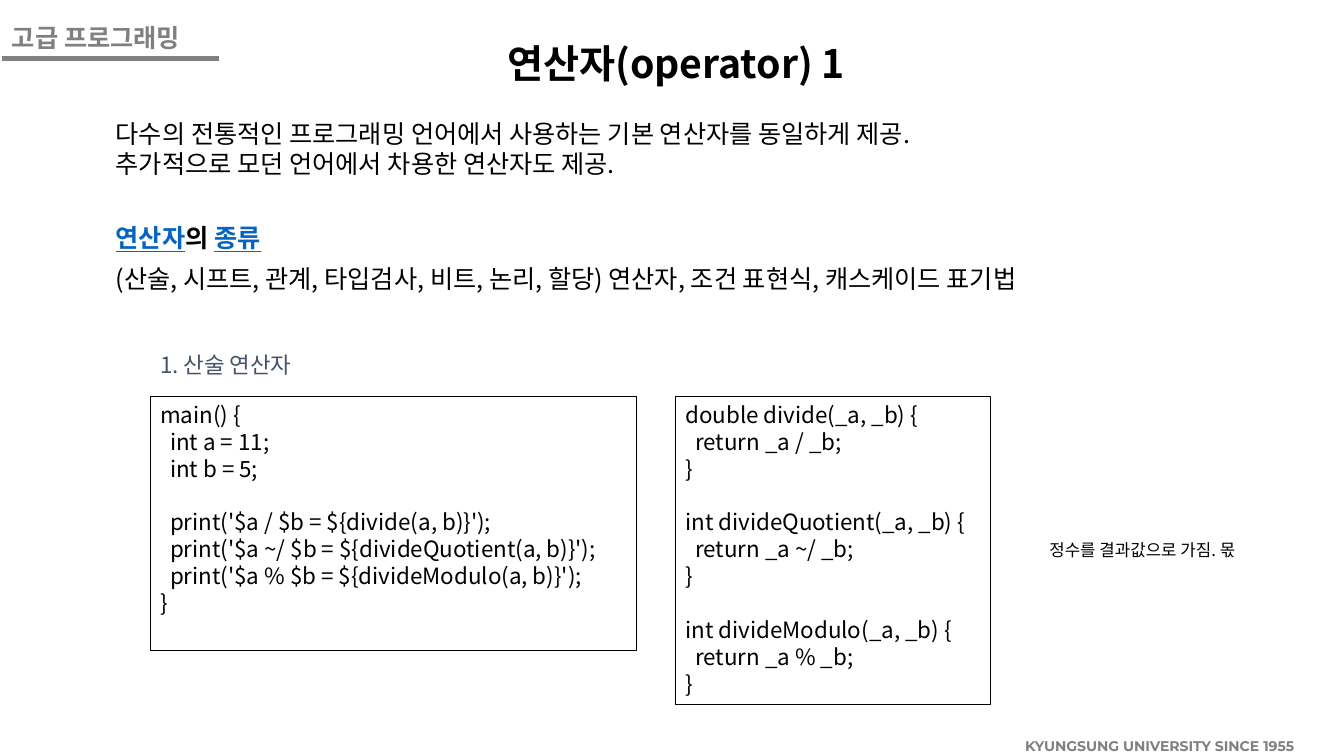
from pptx import Presentation
from pptx.util import Inches, Pt
from pptx.dml.color import RGBColor
from pptx.enum.shapes import MSO_CONNECTOR, MSO_SHAPE
from pptx.enum.text import MSO_ANCHOR, PP_ALIGN
from lxml import etree

RECT = MSO_SHAPE.RECTANGLE
LINE = MSO_CONNECTOR.STRAIGHT
TOP = MSO_ANCHOR.TOP
LEFT, CENTER = PP_ALIGN.LEFT, PP_ALIGN.CENTER
NS = "{http://schemas.openxmlformats.org/drawingml/2006/main}"
SANS = "Noto Sans CJK KR"
GRAY, BLACK, BLUE, SLATE = "808080", "000000", "0563C1", "44546A"

prs = Presentation()
prs.slide_width, prs.slide_height = Inches(13.33), Inches(7.5)
slide = prs.slides.add_slide(prs.slide_layouts[6])
shapes = slide.shapes


def color(code):
    return RGBColor.from_string(code)


def write(text, x, y, w, h, size=18, ink=BLACK, bold=False, font=SANS,
          align=LEFT, wrap=True, frame=False, links=()):
    spot = [Inches(n) for n in (x, y, w, h)]
    if frame:
        box = shapes.add_shape(RECT, *spot)
        box.shadow.inherit = False
        box.fill.background()
        box.line.color.rgb = color(BLACK)
        box.line.width = Pt(0.75)
    else:
        box = shapes.add_textbox(*spot)
    body = box.text_frame
    body.word_wrap = wrap
    body.vertical_anchor = TOP
    first, gap = True, False
    for line in text.split("\n"):
        if not line:
            gap = True
            continue
        para = body.paragraphs[0] if first else body.add_paragraph()
        para.alignment = align
        if gap:
            para.space_before = Pt(size * 1.2)
        first, gap = False, False
        for part in line.split("|"):
            run = para.add_run()
            run.text = part
            run.font.size = Pt(size)
            run.font.bold = bold
            run.font.name = font
            run.font.color.rgb = color(BLUE if part in links else ink)
            if part in links:
                run.font.underline = True
            tag = etree.SubElement(run.font._element, NS + "ea")
            tag.set("typeface", font)


write("KYUNGSUNG UNIVERSITY SINCE 1955", 10.07, 7.27, 3.19, 0.28,
      size=10, ink=GRAY, bold=True, font="Montserrat")

rule = shapes.add_connector(LINE, Inches(0.02), Inches(0.58), Inches(2.17), Inches(0.58))
rule.line.color.rgb = color(GRAY)
rule.line.width = Pt(3.75)
etree.SubElement(rule._element.spPr, NS + "effectLst")

write("고급 프로그래밍", 0.02, 0.17, 2.06, 0.4, ink=GRAY, bold=True)
write("연산자(operator) 1", 4.88, 0.34, 3.65, 0.57,
      size=28, bold=True, align=CENTER, wrap=False)
write("다수의 전통적인 프로그래밍 언어에서 사용하는 기본 연산자를 동일하게 제공.\n"
      "추가적으로 모던 언어에서 차용한 연산자도 제공.", 1.05, 1.12, 9.05, 0.71)
write("연산자|의 |종류", 1.05, 2.16, 1.81, 0.4, bold=True, links=("연산자", "종류"))
write("(산술, 시프트, 관계, 타입검사, 비트, 논리, 할당) 연산자, 조건 표현식, 캐스케이드 표기법",
      1.05, 2.56, 10.06, 0.4)
write("1. 산술 연산자", 1.49, 3.43, 1.66, 0.37, size=16, ink=SLATE)

write("""main() {
  int a = 11;
  int b = 5;

  print('$a / $b = ${divide(a, b)}');
  print('$a ~/ $b = ${divideQuotient(a, b)}');
  print('$a % $b = ${divideModulo(a, b)}');
}""", 1.49, 3.93, 4.82, 2.52, size=16, frame=True)
write("""double divide(_a, _b) {
  return _a / _b;
}

int divideQuotient(_a, _b) {
  return _a ~/ _b;
}

int divideModulo(_a, _b) {
  return _a % _b;
}""", 6.7, 3.93, 3.12, 3.06, size=16, frame=True)

write("정수를 결과값으로 가짐. 몫", 10.31, 5.31, 2.27, 0.3, size=12)

prs.save("out.pptx")
